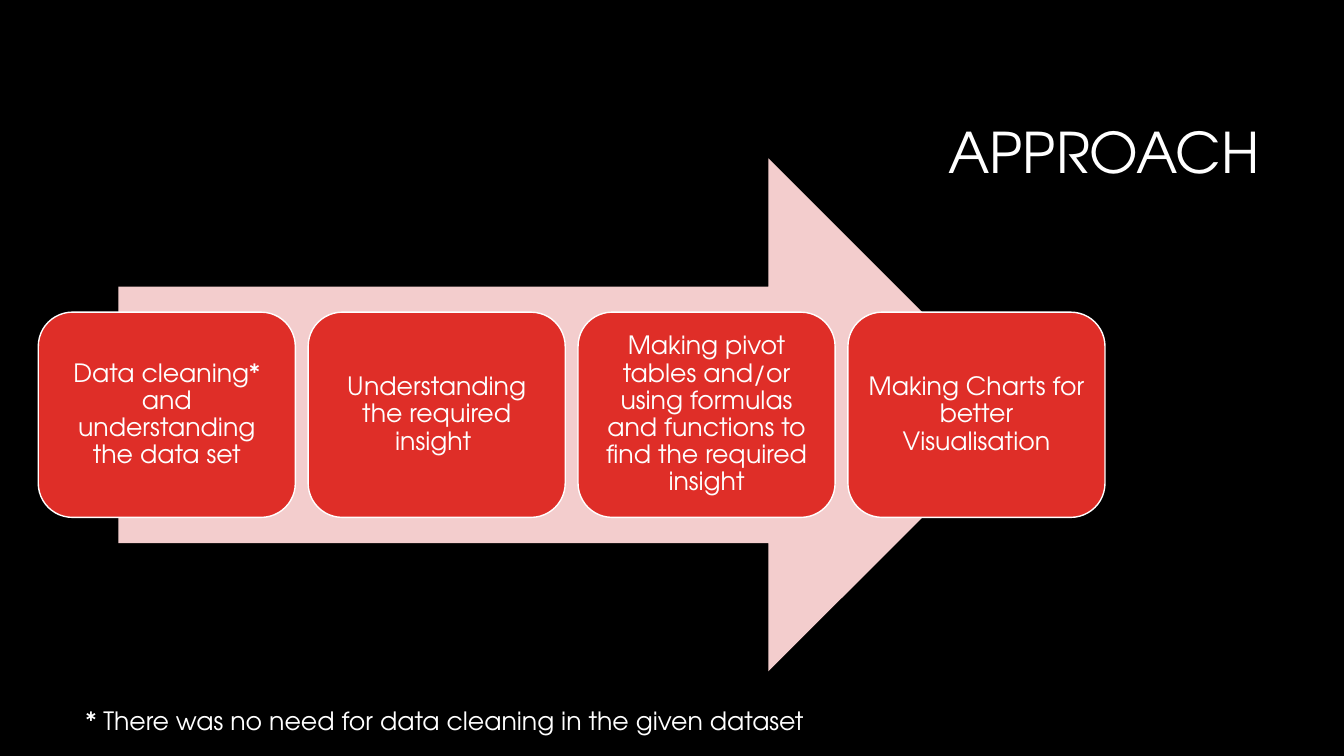
import pptx
import pptx.util
import pptx.dml.color
import pptx.enum.shapes
import pptx.enum.text

WIDTH, HEIGHT = 13.33, 7.5
FONT = "TeX Gyre Adventor"
COLORS = {"background": "000000", "text": "FFFFFF", "arrow": "F3CDCD", "step": "DF2E28"}
STEPS = [
    "Data cleaning* and understanding the data set",
    "Understanding the required insight ",
    "Making pivot tables and/or using formulas and functions to find the required insight",
    "Making Charts for better Visualisation",
]
SHAPES = pptx.enum.shapes.MSO_SHAPE
ALIGN = pptx.enum.text.PP_ALIGN
ANCHOR = pptx.enum.text.MSO_ANCHOR


def color(name):
    return pptx.dml.color.RGBColor.from_string(COLORS[name])


def inches(box):
    return [pptx.util.Inches(length) for length in box]


def write(shape, text, size, alignment, anchor):
    frame = shape.text_frame
    frame.word_wrap = True
    frame.vertical_anchor = anchor
    frame.text = text
    paragraph = frame.paragraphs[0]
    paragraph.alignment = alignment
    paragraph.line_spacing = 0.9
    font = paragraph.runs[0].font
    font.name = FONT
    font.size = pptx.util.Pt(size)
    font.color.rgb = color("text")


def add_text(slide, box, text, size, alignment, anchor):
    write(slide.shapes.add_textbox(*inches(box)), text, size, alignment, anchor)


def add_filled_shape(slide, kind, box, fill):
    shape = slide.shapes.add_shape(kind, *inches(box))
    shape.shadow.inherit = False
    shape.fill.solid()
    shape.fill.fore_color.rgb = color(fill)
    shape.line.fill.background()
    return shape


def add_step(slide, box, text):
    step = add_filled_shape(slide, SHAPES.ROUNDED_RECTANGLE, box, "step")
    step.line.color.rgb = color("text")
    step.line.width = pptx.util.Pt(1)
    frame = step.text_frame
    frame.margin_left = frame.margin_right = pptx.util.Inches(0.07)
    frame.margin_top = frame.margin_bottom = pptx.util.Inches(0.07)
    write(step, text, 18, ALIGN.CENTER, ANCHOR.MIDDLE)


def add_process(slide, box, steps):
    left, top, width, height = box
    arrow_width = 0.85 * width
    arrow_box = (left + (width - arrow_width) / 2, top, arrow_width, height)
    add_filled_shape(slide, SHAPES.RIGHT_ARROW, arrow_box, "arrow")
    gap = 0.012 * width
    step_width = (width - gap * (len(steps) - 1)) / len(steps)
    for column, text in enumerate(steps):
        step_left = left + column * (step_width + gap)
        add_step(slide, (step_left, top + 0.3 * height, step_width, 0.4 * height), text)


def build_approach_slide(presentation):
    slide = presentation.slides.add_slide(presentation.slide_layouts[6])
    slide.background.fill.solid()
    slide.background.fill.fore_color.rgb = color("background")
    add_text(slide, (3.17, 0.84, 9.42, 1.41), "APPROACH", 40, ALIGN.RIGHT, ANCHOR.MIDDLE)
    add_text(slide, (0.75, 6.98, 11.83, 0.42),
             "* There was no need for data cleaning in the given dataset",
             18, ALIGN.LEFT, ANCHOR.TOP)
    add_process(slide, (0.38, 1.57, 10.58, 5.09), STEPS)


def main():
    presentation = pptx.Presentation()
    presentation.slide_width, presentation.slide_height = inches((WIDTH, HEIGHT))
    build_approach_slide(presentation)
    presentation.save("out.pptx")


if __name__ == "__main__":
    main()
